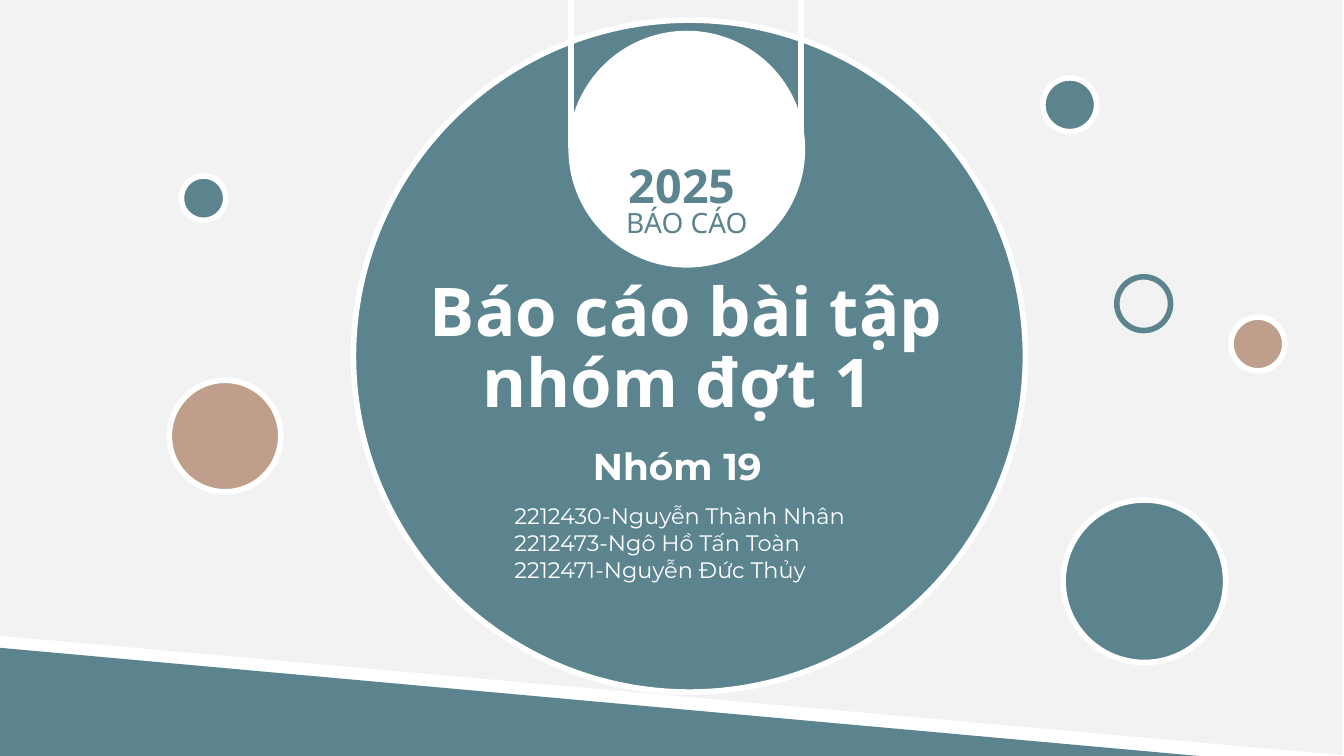
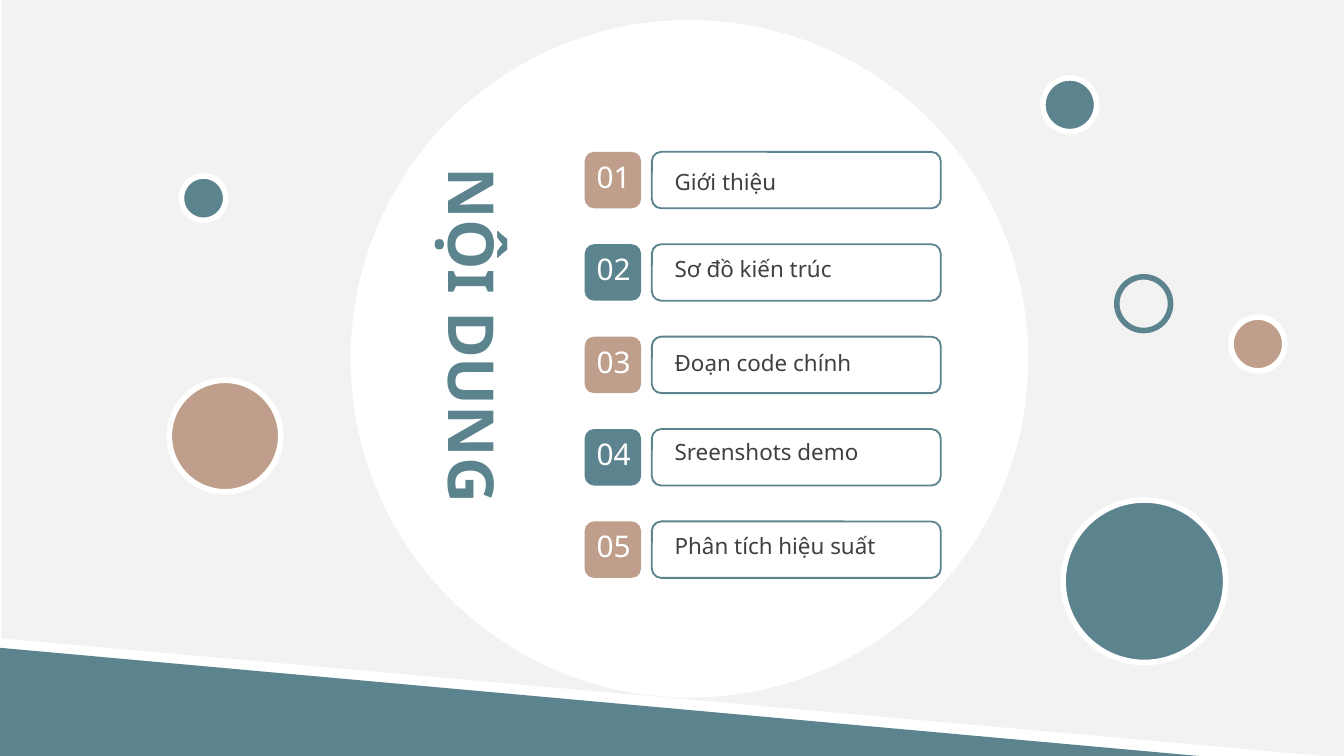
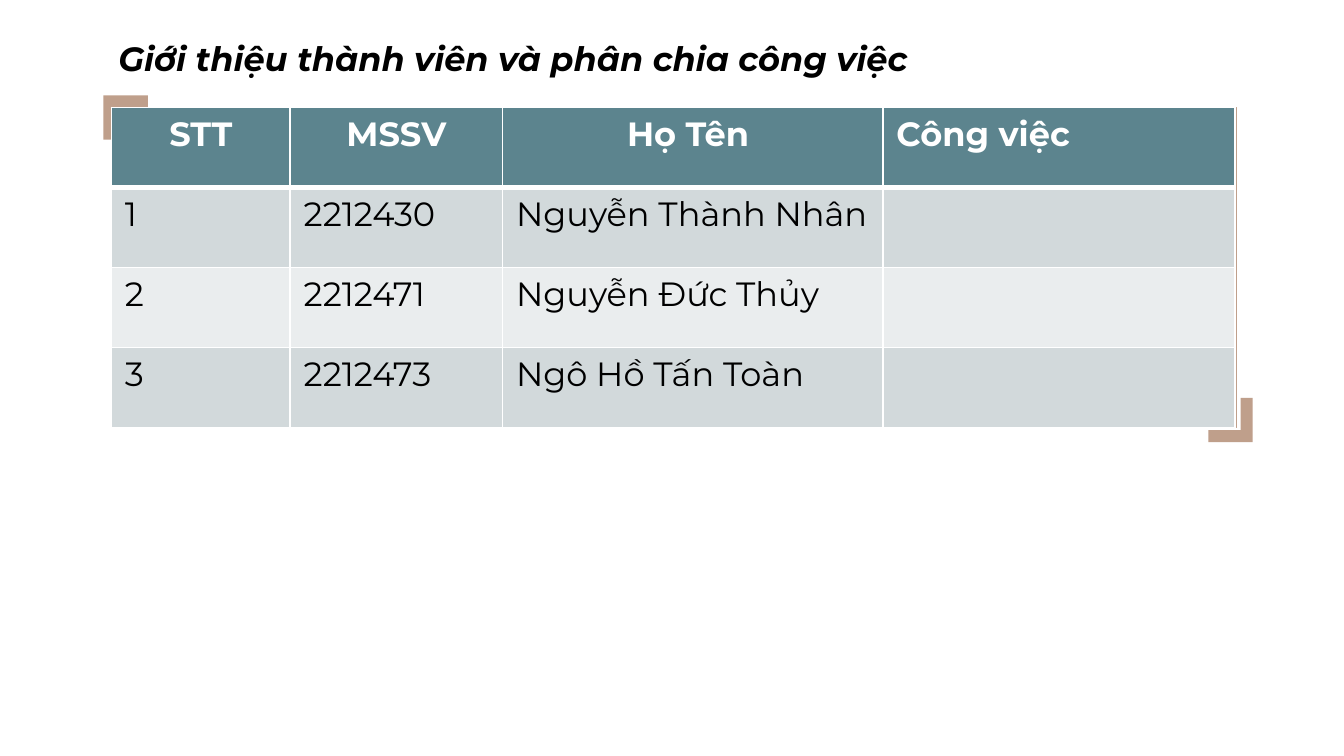
import pptx
import pptx.dml.color
import pptx.enum.shapes
import pptx.enum.text
import pptx.oxml
import pptx.oxml.ns
import pptx.util

TEAL, TAN, WHITE, PALE = "5C848E", "BF9F8B", "FFFFFF", "F2F2F2"
BLACK, GREY = "000000", "404040"
SANS, MONT = "Noto Sans", "Montserrat"
BAND_FILLS = ("D2D9DB", "EAEDEE")

WIDTH, HEIGHT = 10, 5.625
TITLE_LAYOUT, TITLE_ONLY_LAYOUT = 0, 5
STROKE = 3

SHAPES = pptx.enum.shapes.MSO_SHAPE
LEFT = pptx.enum.text.PP_ALIGN.LEFT
CENTER = pptx.enum.text.PP_ALIGN.CENTER

# Floating dots on the first two slides: left, top, diameter, fill, line
DOTS = [
    (1.35, 1.31, 0.33, TEAL, WHITE),
    (7.76, 0.58, 0.4, TEAL, WHITE),
    (9.16, 2.36, 0.4, TAN, WHITE),
    (8.31, 2.06, 0.4, None, TEAL),
    (7.91, 3.72, 1.21, TEAL, WHITE),
    (1.26, 2.83, 0.83, TAN, WHITE),
]

# Agenda entries with the drop of each text below its frame's top
AGENDA = [
    ("Giới thiệu", 0.05),
    ("Sơ đồ kiến trúc", 0.01),
    ("Đoạn code chính", 0.02),
    ("Sreenshots demo", 0),
    ("Phân tích hiệu suất", 0.01),
]

MEMBERS = [
    ("STT", "MSSV", "Họ Tên ", "Công việc"),
    ("1", "2212430", "Nguyễn Thành Nhân", ""),
    ("2", "2212471", "Nguyễn Đức Thủy", ""),
    ("3", "2212473", "Ngô Hồ Tấn Toàn", ""),
]


def rgb(color):
    return pptx.dml.color.RGBColor.from_string(color)


def inches(*lengths):
    return [pptx.util.Inches(length) for length in lengths]


def paint(shape, fill=None, line=None, weight=STROKE):
    shape.shadow.inherit = False
    if fill:
        shape.fill.solid()
        shape.fill.fore_color.rgb = rgb(fill)
    else:
        shape.fill.background()
    if line:
        shape.line.color.rgb = rgb(line)
        shape.line.width = pptx.util.Pt(weight)
    else:
        shape.line.fill.background()


def add_preset(slide, kind, box, fill=None, line=None, weight=STROKE):
    shape = slide.shapes.add_shape(kind, *inches(*box))
    paint(shape, fill, line, weight)
    return shape


def add_outline(slide, points, fill):
    start, *rest = [inches(*point) for point in points]
    builder = slide.shapes.build_freeform(*start, scale=1.0)
    builder.add_line_segments(rest, close=True)
    shape = builder.convert_to_shape()
    paint(shape, fill)
    return shape


def write(frame, lines, size, color, font=SANS, bold=False, italic=False,
          align=LEFT):
    frame.text = "\n".join(lines)
    for paragraph in frame.paragraphs:
        paragraph.alignment = align
        paragraph.font.size = pptx.util.Pt(size)
        paragraph.font.name = font
        paragraph.font.bold = bold
        paragraph.font.italic = italic
        paragraph.font.color.rgb = rgb(color)


def add_text(slide, box, lines, size, color, wrap=True, insets=(0.1, 0.05),
             **style):
    frame = slide.shapes.add_textbox(*inches(*box)).text_frame
    frame.word_wrap = wrap
    frame.margin_left = frame.margin_right = pptx.util.Inches(insets[0])
    frame.margin_top = frame.margin_bottom = pptx.util.Inches(insets[1])
    write(frame, lines, size, color, **style)


def fill_placeholder(slide, holder, box, text, size, color, spacing=1.0,
                     **style):
    """Place a template placeholder in front of what is drawn so far."""
    slide.shapes._spTree.append(holder._element)
    holder.left, holder.top, holder.width, holder.height = inches(*box)
    frame = holder.text_frame
    frame.word_wrap = True
    frame.auto_size = pptx.enum.text.MSO_AUTO_SIZE.NONE
    frame.vertical_anchor = pptx.enum.text.MSO_ANCHOR.TOP
    write(frame, [text], size, color, **style)
    for paragraph in frame.paragraphs:
        paragraph.space_before = pptx.util.Pt(0)
        paragraph.line_spacing = spacing


def add_strap(slide, x, bottom):
    strap = slide.shapes.add_connector(
        pptx.enum.shapes.MSO_CONNECTOR.STRAIGHT, *inches(x, bottom, x, -0.28))
    strap.line.color.rgb = rgb(WHITE)
    strap.line.width = pptx.util.Pt(STROKE)
    strap._element.spPr.append(
        pptx.oxml.parse_xml(f'<a:effectLst {pptx.oxml.ns.nsdecls("a")}/>'))


def add_scene(slide, shift, disc_top, disc_fill):
    """Pale backdrop, sloping band, central disc and floating dots."""
    dx, dy = shift
    add_outline(slide, [(dx, dy), (WIDTH + dx, dy), (WIDTH + dx, 5.64 + dy),
                        (dx, 4.75 + dy)], PALE)
    add_preset(slide, SHAPES.RIGHT_TRIANGLE, (0, 4.82, 8.92, HEIGHT - 4.82),
               TEAL)
    add_preset(slide, SHAPES.OVAL, (2.63, disc_top, 5, 5), disc_fill, WHITE)
    for left, top, size, fill, line in DOTS:
        add_preset(slide, SHAPES.OVAL, (left, top, size, size), fill, line)


def add_agenda_row(slide, number, text, top, drop):
    add_preset(slide, SHAPES.ROUNDED_RECTANGLE, (4.85, top, 2.15, 0.42),
               line=TEAL, weight=1)
    add_text(slide, (4.89, top + drop, 2.17, 0.33), [text], 12, GREY,
             insets=(0.13, 0.07))
    add_preset(slide, SHAPES.ROUNDED_RECTANGLE, (4.35, top, 0.42, 0.42),
               TAN if number % 2 else TEAL)
    add_text(slide, (4.34, top, 0.55, 0.37), [f"{number:02}"], 16, WHITE)


def add_corner(slide, left, top, rotation=0):
    size, bar = 0.33, 0.09
    corner = add_outline(slide, [
        (left, top), (left + size, top), (left + size, top + bar),
        (left + bar, top + bar), (left + bar, top + size),
        (left, top + size)], TAN)
    corner.rotation = rotation


def border_cell(cell, bottom):
    """Give a cell white borders; must run before its fill is set."""
    properties = cell._tc.get_or_add_tcPr()
    for side, weight in (("L", 1), ("R", 1), ("T", 1), ("B", bottom)):
        properties.append(pptx.oxml.parse_xml(
            f'<a:ln{side} {pptx.oxml.ns.nsdecls("a")} w="{weight * 12700}">'
            f'<a:solidFill><a:srgbClr val="{WHITE}"/></a:solidFill>'
            f'</a:ln{side}>'))


def add_member_table(slide, box, column_widths):
    table = slide.shapes.add_table(
        len(MEMBERS), len(column_widths), *inches(*box)).table
    for column, width in zip(table.columns, column_widths):
        column.width = pptx.util.Inches(width)
    for r, values in enumerate(MEMBERS):
        header = r == 0
        for c, value in enumerate(values):
            cell = table.cell(r, c)
            border_cell(cell, STROKE if header else 1)
            cell.fill.solid()
            cell.fill.fore_color.rgb = rgb(
                TEAL if header else BAND_FILLS[(r - 1) % 2])
            write(cell.text_frame, [value], 18, WHITE if header else BLACK,
                  font=MONT, bold=header,
                  align=CENTER if header and c < 3 else LEFT)


def build_cover(slide):
    add_scene(slide, (-0.01, -0.02), 0.15, TEAL)
    # Hanging badge
    add_preset(slide, SHAPES.OVAL, (4.25, 0.25, 1.72, 1.72), WHITE, WHITE)
    add_strap(slide, 4.25, 1.1)
    add_strap(slide, 5.96, 1.08)
    # Title and badge wording
    fill_placeholder(slide, slide.shapes.title, (2.77, 1.98, 4.67, 1.3),
                     "Báo cáo bài tập nhóm đợt 1 ", 36, WHITE, spacing=0.88,
                     bold=True, align=CENTER)
    slide.shapes.title.text_frame.margin_top = pptx.util.Inches(0.1)
    add_text(slide, (4.55, 1.48, 1.12, 0.35), ["BÁO CÁO"], 15, TEAL,
             wrap=False, align=CENTER)
    add_text(slide, (4.54, 1.12, 1.07, 0.52), ["2025"], 25, TEAL,
             wrap=False, bold=True, align=CENTER)
    # Group and its members
    fill_placeholder(slide, slide.placeholders[1], (4.1, 3.25, 1.88, 0.44),
                     "Nhóm 19", 20, WHITE, font=MONT, bold=True, align=CENTER)
    add_text(slide, (3.73, 3.69, 3.13, 0.71),
             ["2212430-Nguyễn Thành Nhân", "2212473-Ngô Hồ Tấn Toàn",
              "2212471-Nguyễn Đức Thủy"], 12, WHITE, font=MONT)


def build_agenda(slide):
    add_scene(slide, (0.01, 0), 0.17, WHITE)
    fill_placeholder(slide, slide.shapes.title, (2.02, 2.32, 3.01, 0.67),
                     "NỘI DUNG", 34, TEAL, bold=True)
    slide.shapes.title.rotation = 90
    for number, (text, drop) in enumerate(AGENDA, start=1):
        add_agenda_row(slide, number, text, 1.13 + 0.6875 * (number - 1), drop)


def build_members(slide):
    # Frame with corner marks
    frame = add_preset(slide, SHAPES.ROUNDED_RECTANGLE,
                       (0.84, 0.8, 8.36, 2.38), line=TAN, weight=0.25)
    frame.adjustments[0] = 0
    add_corner(slide, 0.77, 0.71)
    add_corner(slide, 8.99, 2.96, rotation=180)
    fill_placeholder(slide, slide.shapes.title, (0.78, 0.23, 6.17, 0.4),
                     "Giới thiệu thành viên và phân chia công việc", 18,
                     BLACK, font=MONT, bold=True, italic=True)
    add_member_table(slide, (0.83, 0.8, 8.36, 2.38), (1.33, 1.58, 2.83, 2.62))


def main():
    deck = pptx.Presentation()
    deck.slide_width, deck.slide_height = inches(WIDTH, HEIGHT)
    for layout, build in ((TITLE_LAYOUT, build_cover),
                          (TITLE_ONLY_LAYOUT, build_agenda),
                          (TITLE_ONLY_LAYOUT, build_members)):
        build(deck.slides.add_slide(deck.slide_layouts[layout]))
    deck.save("out.pptx")


if __name__ == "__main__":
    main()
